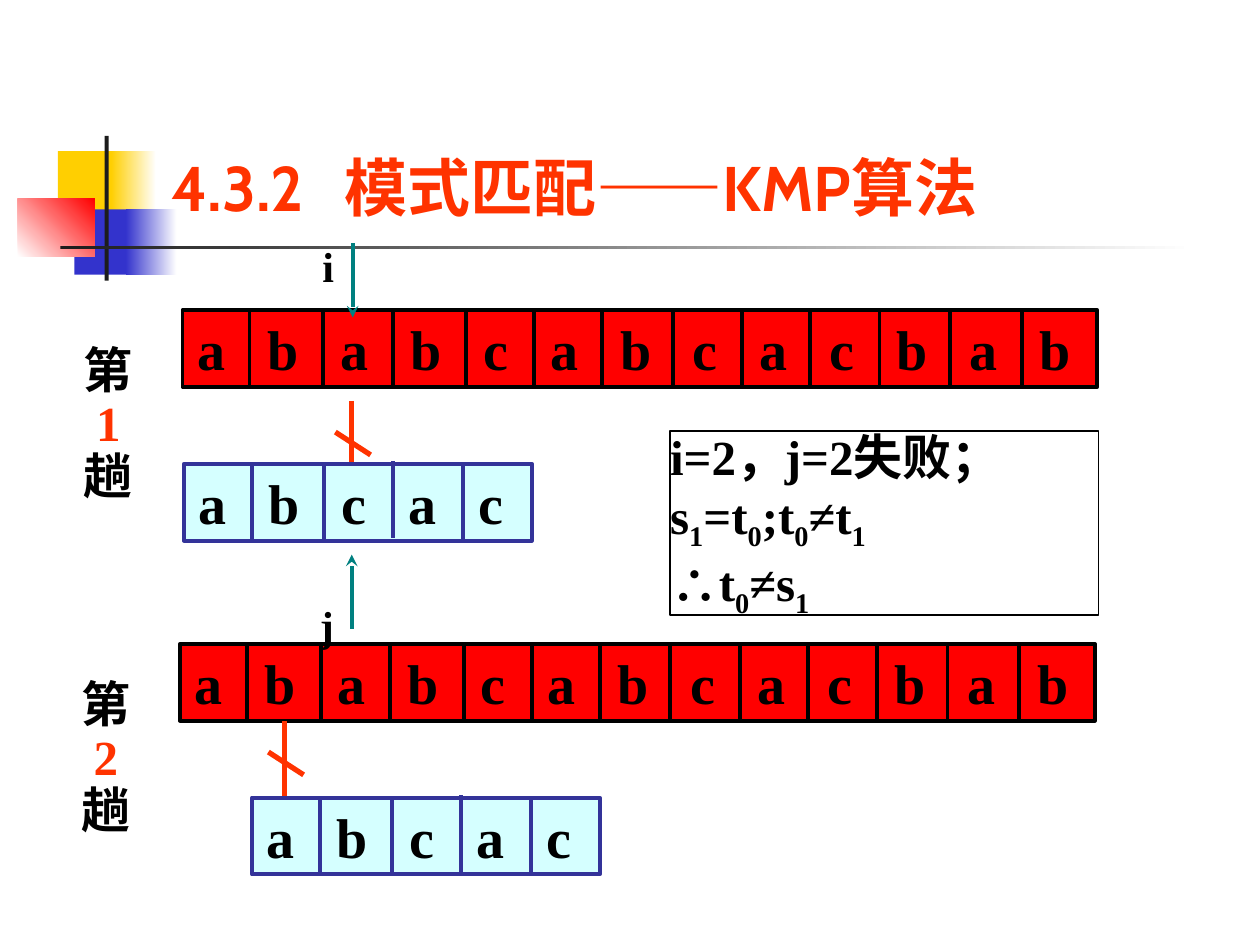
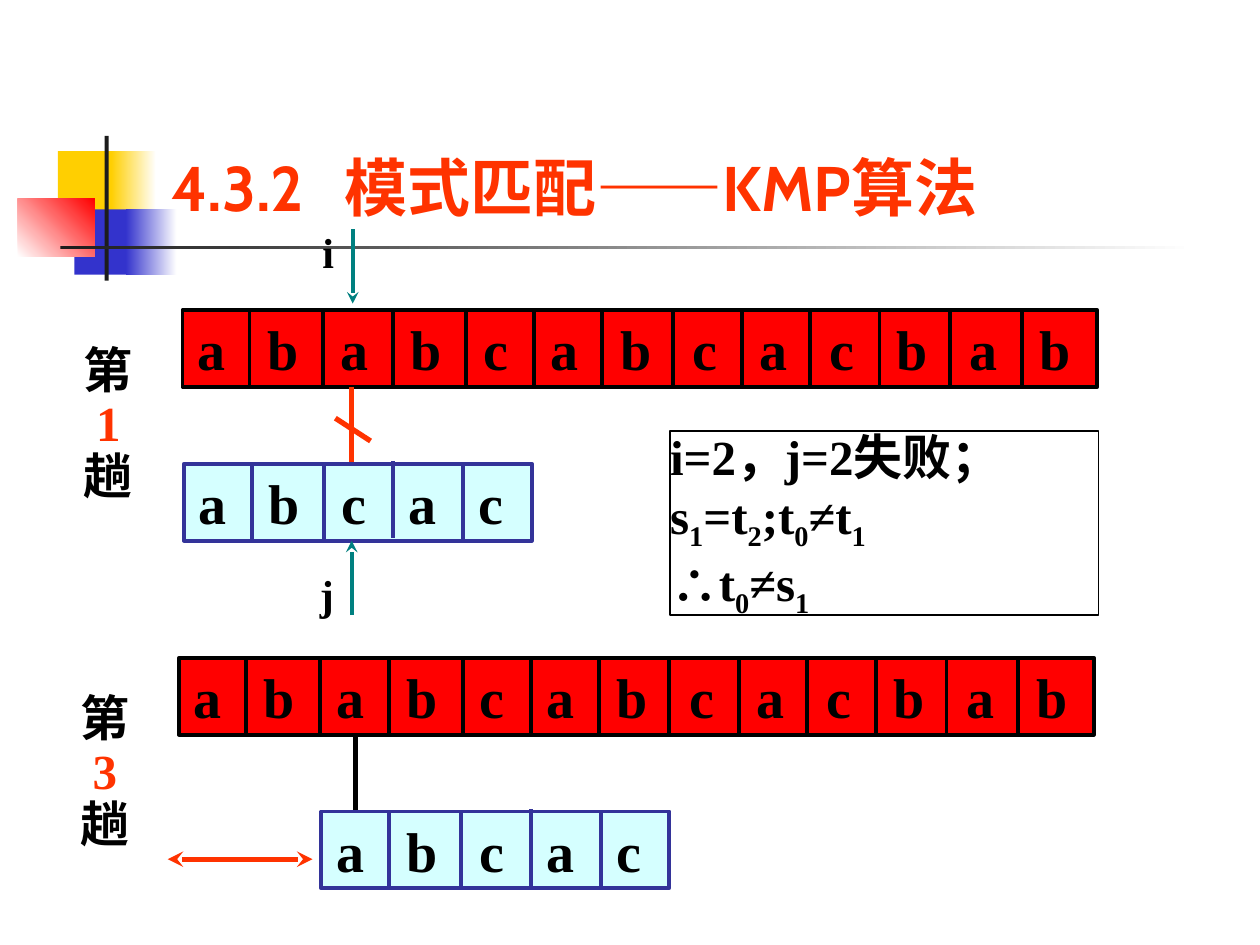
from dataclasses import dataclass
from itertools import accumulate

from lxml.etree import SubElement as Sub
from pptx import Presentation
from pptx.dml.color import RGBColor
from pptx.enum.shapes import MSO_CONNECTOR as Link, MSO_SHAPE as Kind
from pptx.enum.text import MSO_ANCHOR as Anchor
from pptx.oxml.ns import qn
from pptx.util import Cm, Pt

SERIF, SANS, DASH = "Times New Roman", "Cabin", "Arial"
BLACK, WHITE, RED, ORANGE = "000000", "FFFFFF", "FF0000", "FF3300"
GOLD, BLUE, DARK, TEAL = "FFCF01", "3333CC", "1C1C1C", "008080"
NAVY, PALE = "333399", "D5FFFF"

HIGH = 1.55  # height of a strip of letters
STEP = {"a": 1.41, "b": 1.47, "c": 1.35}  # advance after each letter


@dataclass(frozen=True)
class Run:
    text: str
    font: str = SERIF
    color: str = BLACK
    sub: bool = False


@dataclass(frozen=True)
class Patch:
    left: float
    top: float
    wide: float
    high: float
    fill: str
    fade: str = ""
    angle: int = 0


@dataclass(frozen=True)
class Strip:
    word: str
    wide: float
    fill: str
    edge: str
    cuts: tuple[float, ...]
    lifts: tuple[float, ...]


@dataclass(frozen=True)
class Arrow:
    name: str
    left: float
    start: float
    end: float
    tag: tuple[float, float]


@dataclass(frozen=True)
class Tie:
    left: float
    top: float
    fail: bool = True


@dataclass(frozen=True)
class Round:
    number: str
    text: tuple[float, float]
    pattern: tuple[float, float]
    tie: Tie


@dataclass(frozen=True)
class Page:
    note: tuple[str, ...]
    rounds: tuple[Round, ...]
    arrows: tuple[Arrow, ...]
    shift: bool = False


PATCHES = (
    Patch(1.17, 3.05, 1.22, 1.32, GOLD),
    Patch(2.24, 3.05, 0.91, 1.32, GOLD, WHITE),
    Patch(1.5, 4.22, 1.17, 1.32, BLUE),
    Patch(2.54, 4.22, 1.02, 1.32, BLUE, WHITE),
    Patch(0.36, 4.01, 1.55, 1.17, WHITE, RED, 45),
    Patch(2.11, 2.74, 0.08, 2.92, DARK),
    Patch(1.22, 4.95, 22.86, 0.08, DARK, WHITE),
)
TEXT = Strip("ababcabcacbab", 18.44, RED, BLACK,
             (1.35, 2.84, 4.24, 5.72, 7.09, 8.46, 9.88, 11.28, 12.65, 14.05,
              15.47, 16.92), (0,) * 12)
PATTERN = Strip("abcac", 7.01, PALE, NAVY,
                (1.37, 2.82, 4.22, 5.63), (0, 0, -0.05, 0.03))

PAGES = (
    Page(
        ("i=2，j=2失败； s_1=t_0;t_0≠t_1", "∴t_0≠s_1"),
        (Round("1", (3.68, 6.25), (3.71, 9.35), Tie(7.09, 8.08)),
         Round("2", (3.63, 12.98), (5.08, 16.08), Tie(5.74, 14.53))),
        (Arrow("i", 7.11, 4.9, 6.4, (6.5, 4.72)),
         Arrow("j", 7.09, 12.67, 11.18, (6.45, 11.96))),
    ),
    Page(
        ("i=2，j=2失败； s_1=t_2;t_0≠t_1", "∴t_0≠s_1"),
        (Round("1", (3.68, 6.25), (3.71, 9.35), Tie(7.09, 7.8)),
         Round("3", (3.61, 13.26), (6.48, 16.36), Tie(7.16, 14.83, False))),
        (Arrow("i", 7.11, 4.62, 6.12, (6.5, 4.44)),
         Arrow("j", 7.09, 12.4, 10.9, (6.45, 11.33))),
        shift=True,
    ),
)


def rgb(code: str) -> RGBColor:
    return RGBColor.from_string(code)


def box(slide, left: float, top: float, wide: float, high: float):
    return slide.shapes.add_textbox(Cm(left), Cm(top), Cm(wide), Cm(high))


def rect(slide, left: float, top: float, wide: float, high: float,
         fill: str = "", edge: str = "", width: float = 2.25):
    shape = slide.shapes.add_shape(
        Kind.RECTANGLE, Cm(left), Cm(top), Cm(wide), Cm(high))
    shape.shadow.inherit = False
    if fill:
        shape.fill.solid()
        shape.fill.fore_color.rgb = rgb(fill)
    else:
        shape.fill.background()
    if edge:
        shape.line.color.rgb = rgb(edge)
        shape.line.width = Pt(width)
    else:
        shape.line.fill.background()
    return shape


def line(slide, x1: float, y1: float, x2: float, y2: float, color: str,
         width: float = 2.25, ends: tuple[str, ...] = ()) -> None:
    """Draw a straight line; ends holds "headEnd" or "tailEnd" for arrowheads."""
    wire = slide.shapes.add_connector(
        Link.STRAIGHT, Cm(x1), Cm(y1), Cm(x2), Cm(y2))
    wire.line.color.rgb = rgb(color)
    wire.line.width = Pt(width)
    pen = wire.line._get_or_add_ln()
    for end in ends:
        Sub(pen, qn(f"a:{end}"), type="stealth")
    Sub(wire._element.spPr, qn("a:effectLst"))


def write(shape, rows: list[list[Run]], size: float, anchor=Anchor.TOP,
          inset: tuple[float, ...] = (0.25, 0.13, 0.25, 0.13),
          tabs: tuple[float, ...] = (), space: float = 1,
          indents: tuple[float, ...] = ()) -> None:
    """Fill a shape with one paragraph per row; inset is left, top, right, bottom."""
    frame = shape.text_frame
    frame.word_wrap = True
    frame.vertical_anchor = anchor
    (frame.margin_left, frame.margin_top,
     frame.margin_right, frame.margin_bottom) = map(Cm, inset)
    for k, row in enumerate(rows):
        para = frame.paragraphs[0] if k == 0 else frame.add_paragraph()
        props = para._p.get_or_add_pPr()
        props.set("algn", "l")
        if space != 1:
            para.line_spacing = space
        if indents:
            props.set("marL", str(Cm(indents[k])))
        if tabs:
            stops = Sub(props, qn("a:tabLst"))
            for stop in tabs:
                Sub(stops, qn("a:tab"), pos=str(Cm(stop)), algn="l")
        for part in row:
            run = para.add_run()
            run.text = part.text
            run.font.name = part.font
            run.font.size = Pt(size)
            run.font.bold = True
            run.font.color.rgb = rgb(part.color)
            if part.sub:
                run._r.get_or_add_rPr().set("baseline", "-25000")


def parse(text: str) -> list[Run]:
    """Split text into runs; the character after "_" is a subscript."""
    first, *rest = text.split("_")
    runs = [Run(first)]
    for part in rest:
        runs.append(Run(part[0], sub=True))
        if part[1:]:
            runs.append(Run(part[1:]))
    return runs


def frame(slide) -> None:
    """Draw the corner patches and the title that all slides share."""
    for patch in PATCHES:
        shape = rect(slide, patch.left, patch.top, patch.wide, patch.high,
                     patch.fill)
        if patch.fade:
            shape.fill.gradient()
            shape.fill.gradient_angle = patch.angle
            for stop, code in zip(shape.fill.gradient_stops,
                                  (patch.fill, patch.fade)):
                stop.color.rgb = rgb(code)
    title = [Run("4.3.2\t模式匹配", SANS, ORANGE), Run("——", DASH, ORANGE),
             Run("KMP算法", SANS, ORANGE)]
    write(box(slide, 3.2, 0.58, 21.64, 4.06), [title], 36,
          anchor=Anchor.BOTTOM, tabs=(3.5,))


def band(slide, strip: Strip, left: float, top: float) -> None:
    shape = rect(slide, left, top, strip.wide, HIGH, strip.fill, strip.edge)
    stops = tuple(accumulate(STEP[char] for char in strip.word[:-1]))
    write(shape, [[Run("\t".join(strip.word))]], 32, anchor=Anchor.MIDDLE,
          inset=(0.3, 0, 0.05, 0), tabs=stops)
    for cut, lift in zip(strip.cuts, strip.lifts):
        line(slide, left + cut, top + lift, left + cut, top + lift + HIGH,
             strip.edge)


def bind(slide, tie: Tie) -> None:
    """Join compared letters; a failed match is orange with a slash."""
    x, y = tie.left, tie.top
    line(slide, x, y, x, y + 1.57, ORANGE if tie.fail else BLACK, 3)
    if tie.fail:
        line(slide, x - 0.33, y + 0.63, x + 0.38, y + 1.09, ORANGE, 3)


def match(slide, turn: Round) -> None:
    left, top = turn.text
    band(slide, TEXT, left, top)
    write(box(slide, left - 2.24, top + 0.6, 1.8, 3.45),
          [[Run("第")], [Run(turn.number, color=ORANGE)], [Run("趟")]], 28,
          space=0.9, indents=(0, 0.25, 0))
    bind(slide, turn.tie)
    band(slide, PATTERN, *turn.pattern)


def point(slide, arrow: Arrow) -> None:
    line(slide, arrow.left, arrow.start, arrow.left, arrow.end, TEAL,
         ends=("tailEnd",))
    write(box(slide, *arrow.tag, 0.64, 1.27), [[Run(arrow.name)]], 24,
          inset=(0, 0.13, 0, 0.13))


def draw(slide, page: Page) -> None:
    frame(slide)
    note = rect(slide, 13.51, 8.69, 8.64, 3.71, edge=BLACK, width=0.75)
    write(note, [parse(text) for text in page.note], 28,
          anchor=Anchor.MIDDLE, inset=(0, 0, 0, 0))
    for turn in page.rounds:
        match(slide, turn)
    for arrow in page.arrows:
        point(slide, arrow)
    if page.shift:
        line(slide, 3.38, 17.32, 6.3, 17.32, ORANGE, 3,
             ends=("headEnd", "tailEnd"))


def main() -> None:
    deck = Presentation()
    deck.slide_width, deck.slide_height = Cm(25.4), Cm(19.05)
    for page in PAGES:
        draw(deck.slides.add_slide(deck.slide_layouts[6]), page)
    deck.save("out.pptx")


if __name__ == "__main__":
    main()
